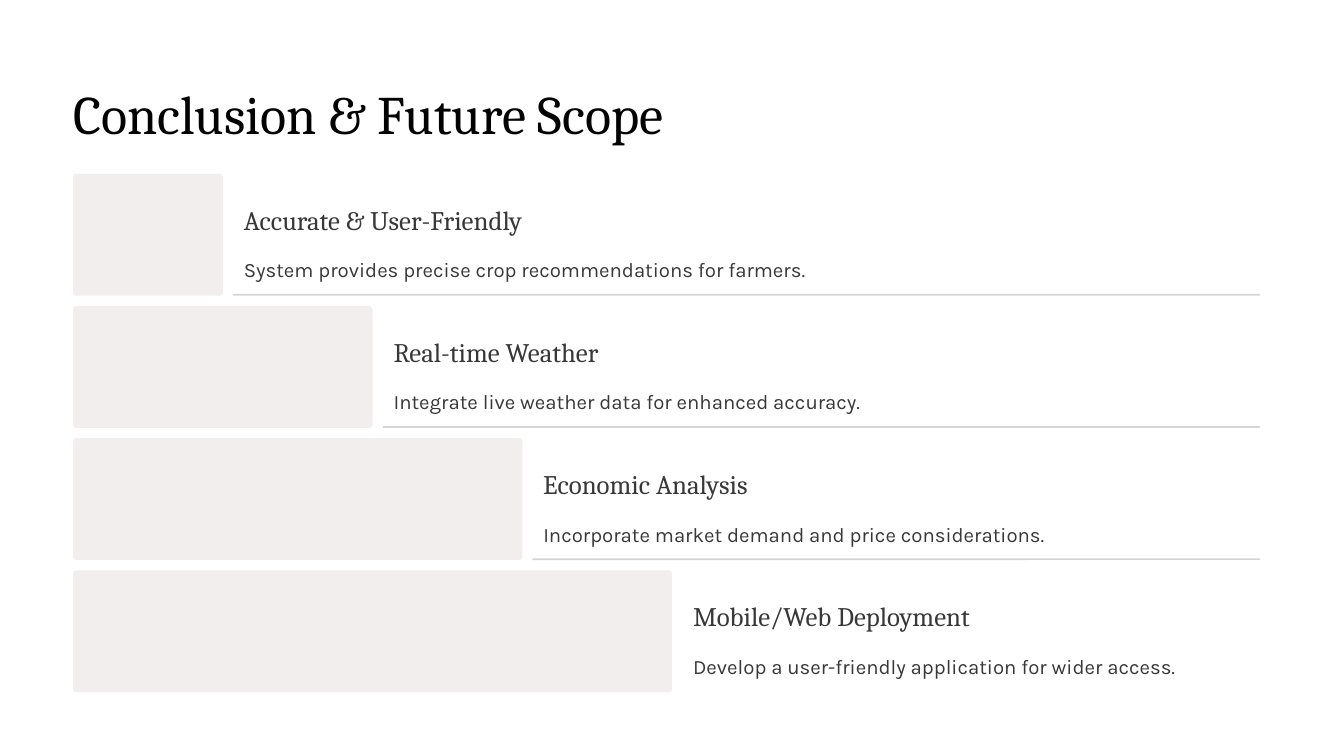
from dataclasses import dataclass

from pptx import Presentation
from pptx.dml.color import RGBColor
from pptx.enum.shapes import MSO_SHAPE as Shape
from pptx.slide import Slide
from pptx.util import Inches, Pt

COLORS = {
    "background": "FFFFFF",
    "title": "020202",
    "text": "383838",
    "bar": "F2EEEE",
    "rule": "D8D4D4",
}
TITLE = {"name": "Cambria", "size": Pt(46.5)}
HEADING = {"name": "Cambria", "size": Pt(23)}
BODY = {"name": "Karla", "size": Pt(17.5)}

# Staircase layout, in inches
LEFT, RIGHT = 0.87, 15.0
FIRST_TOP, LAST_TOP = 2.07, 6.79
BAR_HEIGHT, LONGEST_BAR = 1.45, 7.13


@dataclass
class Step:
    heading: str
    body: str
    heading_width: float
    body_width: float


STEPS = [
    Step("Accurate & User-Friendly",
         "System provides precise crop recommendations for farmers.", 3.68, 6.97),
    Step("Real-time Weather",
         "Integrate live weather data for enhanced accuracy.", 3.26, 5.81),
    Step("Economic Analysis",
         "Incorporate market demand and price considerations.", 3.26, 6.19),
    Step("Mobile/Web Deployment",
         "Develop a user-friendly application for wider access.", 3.59, 6.05),
]


def add_text(slide: Slide, text: str, left: float, top: float, width: float,
             height: float, font_format: dict, color: str, spacing: float) -> None:
    box = slide.shapes.add_textbox(
        Inches(left), Inches(top), Inches(width), Inches(height))
    frame = box.text_frame
    frame.word_wrap = True
    for side in ("left", "top", "right", "bottom"):
        setattr(frame, f"margin_{side}", 0)
    paragraph = frame.paragraphs[0]
    paragraph.line_spacing = spacing
    run = paragraph.add_run()
    run.text = text
    for attribute, value in font_format.items():
        setattr(run.font, attribute, value)
    run.font.color.rgb = RGBColor.from_string(COLORS[color])


def add_block(slide: Slide, left: float, top: float, width: float,
              height: float, color: str, rounding: float) -> None:
    shape = slide.shapes.add_shape(
        Shape.ROUNDED_RECTANGLE,
        Inches(left), Inches(top), Inches(width), Inches(height))
    shape.adjustments[0] = rounding
    shape.shadow.inherit = False
    shape.fill.solid()
    shape.fill.fore_color.rgb = RGBColor.from_string(COLORS[color])
    shape.line.fill.background()


def add_step(slide: Slide, index: int, step: Step) -> None:
    last = len(STEPS) - 1
    top = FIRST_TOP + index * (LAST_TOP - FIRST_TOP) / last
    bar_width = LONGEST_BAR * (index + 1) / len(STEPS)
    bar_right = LEFT + bar_width
    text_left = bar_right + 0.25
    add_block(slide, LEFT, top, bar_width, BAR_HEIGHT, "bar", 0.026)
    add_text(slide, step.heading, text_left, top + 0.25, step.heading_width,
             0.41, HEADING, "text", 1.26)
    add_text(slide, step.body, text_left, top + 0.81, step.body_width,
             0.4, BODY, "text", 1.63)
    # Every step but the last is closed by a thin rule
    if index < last:
        rule_left = bar_right + 0.12
        add_block(slide, rule_left, top + 1.43, RIGHT - rule_left, 0.02,
                  "rule", 0.5)


def main() -> None:
    presentation = Presentation()
    presentation.slide_width = Inches(16)
    presentation.slide_height = Inches(9)
    slide = presentation.slides.add_slide(presentation.slide_layouts[6])

    # Background
    background = slide.background.fill
    background.solid()
    background.fore_color.rgb = RGBColor.from_string(COLORS["background"])

    # Title and steps
    add_text(slide, "Conclusion & Future Scope", LEFT, 0.76, 7.91, 0.81,
             TITLE, "title", 1.26)
    for index, step in enumerate(STEPS):
        add_step(slide, index, step)

    presentation.save("out.pptx")


if __name__ == "__main__":
    main()
